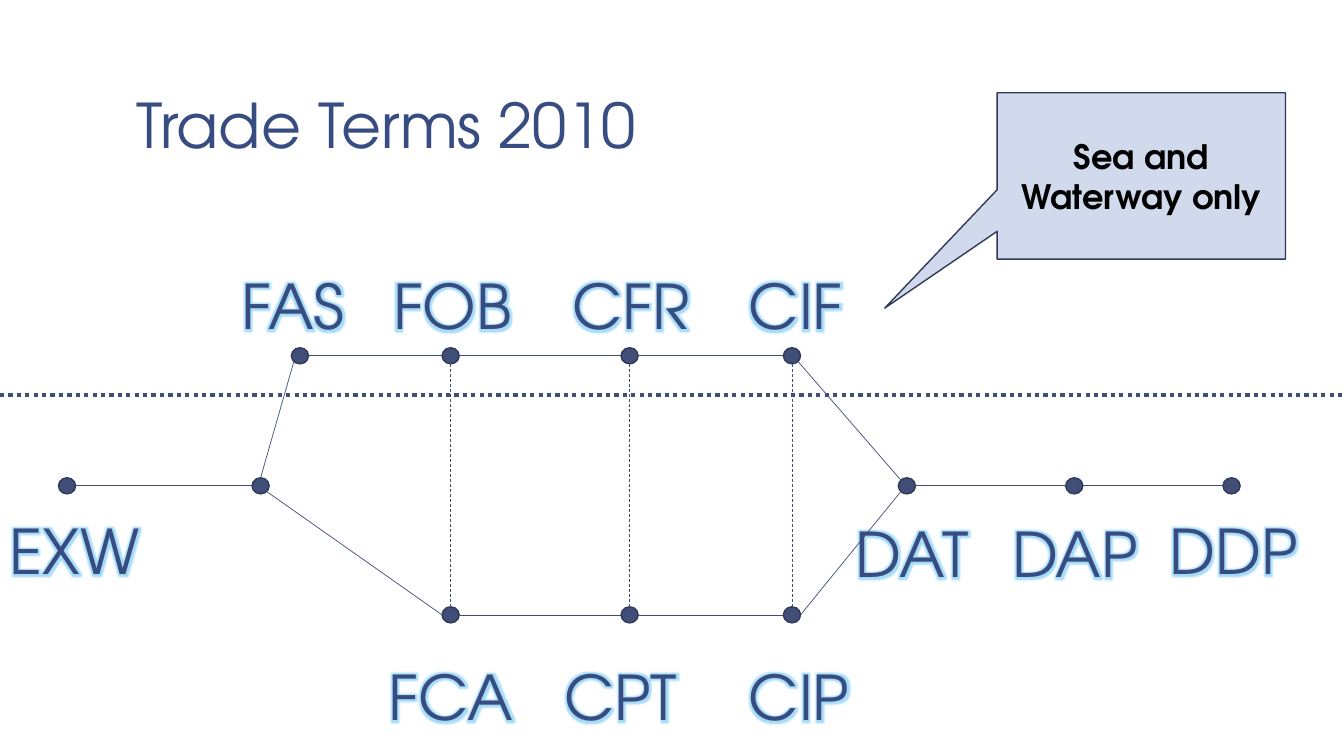
from collections import namedtuple
from dataclasses import dataclass

from lxml import etree
from pptx import Presentation
from pptx.dml.color import RGBColor
from pptx.enum.dml import MSO_LINE
from pptx.enum.shapes import MSO_CONNECTOR, MSO_SHAPE
from pptx.enum.text import MSO_ANCHOR, MSO_AUTO_SIZE, PP_ALIGN
from pptx.oxml import parse_xml
from pptx.oxml.ns import nsdecls, qn
from pptx.util import Inches, Pt

Box = namedtuple("Box", "x y w h")


@dataclass(frozen=True)
class Theme:
    """Colours, font and sizes of the slide."""
    font: str = "TeX Gyre Adventor"
    term: str = "374C81"
    track: str = "414E77"
    edge: str = "303A58"
    callout: str = "D1D9EC"
    ink: str = "000000"
    glow: str = "8FD3F5"
    big: int = 44
    note: int = 24
    thin: float = 0.5
    outline: float = 1
    divider: float = 3


THEME = Theme()
DOT = Box(0, 0, 0.17, 0.16)
SEA, MAIN, LAND = 0.92, 2.21, 3.49
STOPS = {
    "EXW": (0.665, MAIN), "fork": (2.585, MAIN),
    "FAS": (2.975, SEA), "FOB": (4.47, SEA), "CFR": (6.245, SEA), "CIF": (7.855, SEA),
    "FCA": (4.47, LAND), "CPT": (6.245, LAND), "CIP": (7.855, LAND),
    "DAT": (8.995, MAIN), "DAP": (10.655, MAIN), "DDP": (12.215, MAIN),
}
LABELS = {
    "EXW": (0, 2.43), "FCA": (3.76, 3.88), "FAS": (2.3, 0), "FOB": (3.8, 0),
    "CFR": (5.58, 0), "CIF": (7.33, 0), "CPT": (5.5, 3.88), "CIP": (7.33, 3.88),
    "DAT": (8.39, 2.46), "DAP": (9.94, 2.46), "DDP": (11.5, 2.43),
}
SIDES = {"N": (0, -1), "E": (1, 0), "S": (0, 1), "W": (-1, 0),
         "NW": (-0.71, -0.71), "SW": (-0.71, 0.71), "SE": (0.71, 0.71)}
LINKS = [
    ("EXW", "E", "fork", "W"), ("fork", "N", "FAS", "SW"), ("fork", "SE", "FCA", "W"),
    ("FAS", "E", "FOB", "W"), ("FOB", "E", "CFR", "W"), ("CFR", "E", "CIF", "W"),
    ("FCA", "E", "CPT", "W"), ("CPT", "E", "CIP", "W"),
    ("CIP", "E", "DAT", "SW"), ("CIF", "SE", "DAT", "NW"),
    ("DAT", "E", "DAP", "W"), ("DAP", "E", "DDP", "W"),
]
PAIRS = [("FOB", "FCA"), ("CFR", "CPT"), ("CIF", "CIP")]


def rgb(code):
    """Return the colour for a hex code."""
    return RGBColor.from_string(code)


def inches(box):
    """Return the box as four lengths."""
    return [Inches(v) for v in box]


def style_run(r, size, color, bold=False):
    """Set the font of a run."""
    r.font.name, r.font.size, r.font.bold = THEME.font, Pt(size), bold
    r.font.color.rgb = rgb(color)


def style_shape(sp, fill):
    """Give a shape a flat fill and a thin dark outline."""
    sp.shadow.inherit = False
    sp.fill.solid()
    sp.fill.fore_color.rgb = rgb(fill)
    sp.line.color.rgb = rgb(THEME.edge)
    sp.line.width = Pt(THEME.outline)


def add_glow(r):
    """Add a soft glow around the letters of a run."""
    glow = parse_xml(
        f'<a:effectLst {nsdecls("a")}><a:glow rad="76200"><a:srgbClr val="{THEME.glow}">'
        '<a:alpha val="80000"/></a:srgbClr></a:glow></a:effectLst>')
    r.font._element.find(qn("a:solidFill")).addnext(glow)


def add_line(s, start, end, width=THEME.thin, dash=None):
    """Draw a straight line between two points."""
    line = s.shapes.add_connector(MSO_CONNECTOR.STRAIGHT, *inches((*start, *end)))
    line.line.color.rgb = rgb(THEME.track)
    line.line.width = Pt(width)
    if dash:
        line.line.dash_style = dash
    etree.SubElement(line._element.spPr, qn("a:effectLst"))


def add_title(s, box):
    """Fill and place the title."""
    title = s.shapes.title
    title.left, title.top, title.width, title.height = inches(box)
    tf = title.text_frame
    tf.text = "Trade Terms 2010"
    tf.word_wrap = True
    tf.auto_size = MSO_AUTO_SIZE.NONE
    tf.vertical_anchor = MSO_ANCHOR.BOTTOM
    tf.margin_left = tf.margin_right = Inches(0.13)
    tf.margin_top = tf.margin_bottom = Inches(0.07)
    p = tf.paragraphs[0]
    p.alignment, p.line_spacing = PP_ALIGN.LEFT, 0.85
    style_run(p.runs[0], THEME.big, THEME.term)


def add_labels(s, box):
    """Write the glowing name of each term."""
    for name, (x, y) in LABELS.items():
        tb = s.shapes.add_textbox(*inches((box.x + x, box.y + y, 1.5, 0.84)))
        tf = tb.text_frame
        tf.text = name
        tf.word_wrap = True
        tf.auto_size = MSO_AUTO_SIZE.SHAPE_TO_FIT_TEXT
        r = tf.paragraphs[0].runs[0]
        style_run(r, THEME.big, THEME.term)
        add_glow(r)


def add_network(s, box):
    """Draw the stops, the routes between them and the waterway divider."""
    def edge(name, side):
        """Return the point on one side of a stop."""
        (x, y), (dx, dy) = STOPS[name], SIDES[side]
        return box.x + x + dx * DOT.w / 2, box.y + y + dy * DOT.h / 2

    for x, y in STOPS.values():
        dot = s.shapes.add_shape(MSO_SHAPE.OVAL, *inches(
            (box.x + x - DOT.w / 2, box.y + y - DOT.h / 2, DOT.w, DOT.h)))
        style_shape(dot, THEME.track)
    for a, a_side, b, b_side in LINKS:
        add_line(s, edge(a, a_side), edge(b, b_side))
    for sea, land in PAIRS:
        add_line(s, edge(sea, "S"), edge(land, "N"), dash=MSO_LINE.DASH)
    y = box.y + 1.31
    add_line(s, (box.x, y), (box.x + box.w, y), THEME.divider, MSO_LINE.ROUND_DOT)


def add_callout(s, box):
    """Add the callout that points at the sea terms."""
    sp = s.shapes.add_shape(MSO_SHAPE.RECTANGULAR_CALLOUT, *inches(box))
    sp.adjustments[0], sp.adjustments[1] = -0.89, 0.795
    style_shape(sp, THEME.callout)
    tf = sp.text_frame
    tf.text = "Sea and Waterway only"
    tf.word_wrap = True
    tf.vertical_anchor = MSO_ANCHOR.MIDDLE
    p = tf.paragraphs[0]
    p.alignment = PP_ALIGN.CENTER
    style_run(p.runs[0], THEME.note, THEME.ink, bold=True)


def main():
    """Build and save the slide."""
    prs = Presentation()
    prs.slide_width, prs.slide_height = Inches(13.33), Inches(7.5)
    s = prs.slides.add_slide(prs.slide_layouts[5])
    diagram = Box(0, 2.61, 13.33, 4.72)
    add_title(s, Box(1.22, 0.14, 11.11, 1.53))
    add_labels(s, diagram)
    add_network(s, diagram)
    add_callout(s, Box(9.89, 0.92, 2.86, 1.65))
    prs.save("out.pptx")


if __name__ == "__main__":
    main()
